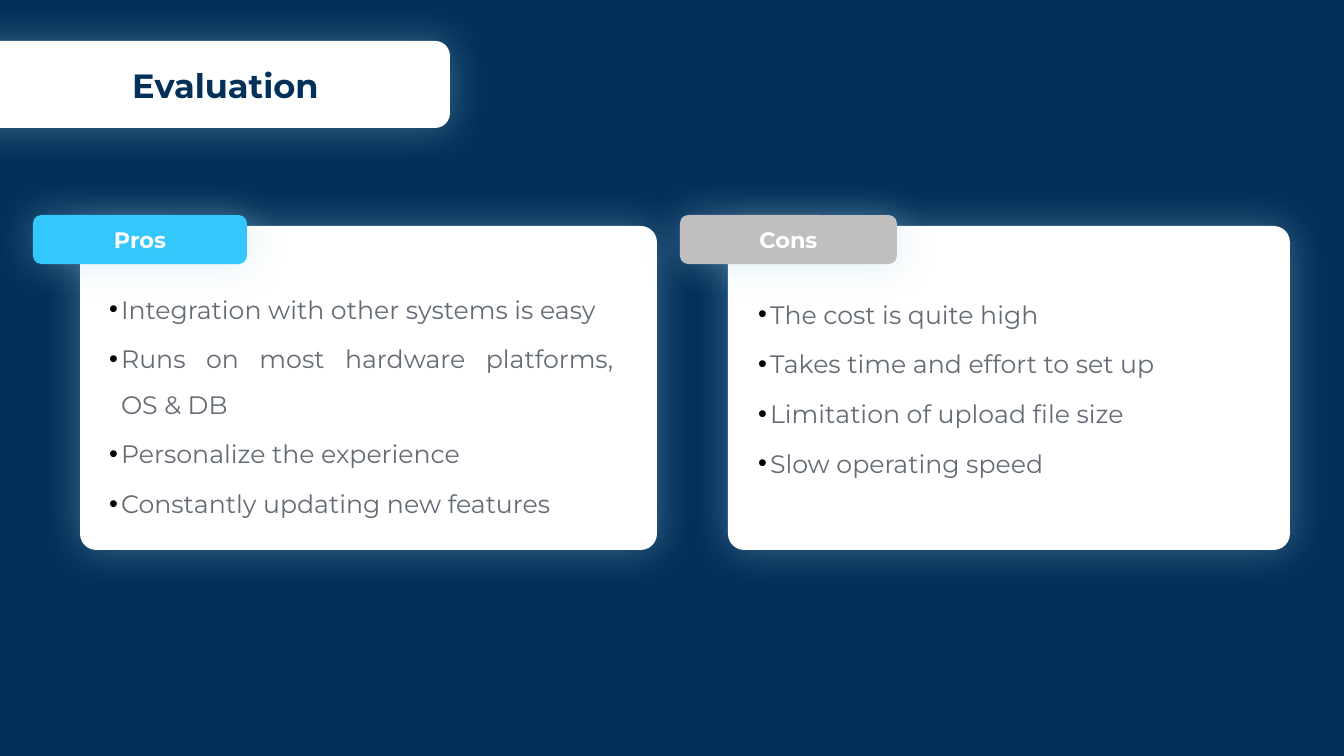
from copy import deepcopy

from lxml import etree
from pptx import Presentation
from pptx.dml.color import RGBColor
from pptx.enum.shapes import MSO_SHAPE
from pptx.enum.text import MSO_ANCHOR, MSO_AUTO_SIZE, PP_ALIGN
from pptx.oxml.ns import qn
from pptx.util import Pt

ROUNDED = MSO_SHAPE.ROUNDED_RECTANGLE
TOP, MIDDLE = MSO_ANCHOR.TOP, MSO_ANCHOR.MIDDLE
NO_AUTOFIT = MSO_AUTO_SIZE.NONE
CENTER, JUSTIFY = PP_ALIGN.CENTER, PP_ALIGN.JUSTIFY

SLIDE_WIDTH, SLIDE_HEIGHT = 1344, 756
EMU_PER_PX = 12192000 / SLIDE_WIDTH
TWO_CONTENT_LAYOUT = 3

COLORS = {
    "navy": "033059",
    "white": "FFFFFF",
    "glow": "A0CFE4",
    "text": "646B76",
    "bullet": "000000",
    "pros": "33C7FB",
    "cons": "BFBFBF",
}

PANELS = [
    {
        "label": "Pros",
        "tag": (33, 215, 214, 49),
        "card": (80, 226, 577, 324),
        "list": (92, 274, 552, 247),
        "items": [
            "Integration with other systems is easy",
            "Runs on most hardware platforms, \vOS & DB",
            "Personalize the experience",
            "Constantly updating new features",
        ],
    },
    {
        "label": "Cons",
        "tag": (680, 215, 217, 49),
        "card": (728, 226, 562, 324),
        "list": (741, 279, 561, 201),
        "items": [
            "The cost is quite high",
            "Takes time and effort to set up",
            "Limitation of upload file size",
            "Slow operating speed",
        ],
    },
]


def px(length):
    return round(length * EMU_PER_PX)


def rgb(name):
    return RGBColor.from_string(COLORS[name])


def apply(target, values):
    for name, value in values.items():
        setattr(target, name, value)


class SlideBuilder:
    font_name = "Montserrat"

    def __init__(self, slide):
        self.slide = slide
        background = slide.background.fill
        background.solid()
        background.fore_color.rgb = rgb("navy")

    def place(self, shape, box):
        apply(shape, dict(zip(("left", "top", "width", "height"), map(px, box))))

    def fill_text(self, paragraph, text, size, color, bold, **values):
        paragraph.text = text
        apply(paragraph, values)
        for run in paragraph.runs:
            apply(run.font, {"name": self.font_name, "size": Pt(size), "bold": bold})
            run.font.color.rgb = rgb(color)
        for line_break in paragraph._p.findall(qn("a:br")):
            line_break.append(deepcopy(paragraph.runs[0]._r.rPr))

    def glow(self, shape):
        shape.shadow.inherit = False
        effects = shape._element.spPr.find(qn("a:effectLst"))
        shadow = etree.SubElement(
            effects, qn("a:outerShdw"), blurRad=str(Pt(29)), dist="0", dir="0",
            algn="ctr", rotWithShape="0")
        color = etree.SubElement(shadow, qn("a:srgbClr"), val=COLORS["glow"])
        etree.SubElement(color, qn("a:alpha"), val="36000")

    def box(self, box, color, corner=0.17):
        shape = self.slide.shapes.add_shape(ROUNDED, *map(px, box))
        shape.adjustments[0] = corner
        shape.fill.solid()
        shape.fill.fore_color.rgb = rgb(color)
        shape.line.fill.background()
        self.glow(shape)
        return shape

    def tag(self, box, text, color):
        frame = self.box(box, color).text_frame
        frame.vertical_anchor = MIDDLE
        self.fill_text(frame.paragraphs[0], text, 16, "white", True, alignment=CENTER)

    def placeholder(self, index, box):
        shape = self.slide.placeholders[index]
        self.slide.shapes._spTree.append(shape._element)
        self.place(shape, box)
        apply(shape.text_frame, {
            "word_wrap": True, "auto_size": NO_AUTOFIT, "vertical_anchor": TOP})
        return shape.text_frame

    def title(self, box, text):
        frame = self.placeholder(0, box)
        self.fill_text(frame.paragraphs[0], text, 24, "navy", True, alignment=CENTER)

    def bullet(self, paragraph):
        properties = paragraph._p.get_or_add_pPr()
        properties.set("marL", str(px(19)))
        properties.set("indent", str(px(-12)))
        color = etree.SubElement(properties, qn("a:buClr"))
        etree.SubElement(color, qn("a:srgbClr"), val=COLORS["bullet"])
        etree.SubElement(properties, qn("a:buFont"), typeface="Arial")
        etree.SubElement(properties, qn("a:buChar"), char="•")

    def bullets(self, index, box, items):
        frame = self.placeholder(index, box)
        for number, item in enumerate(items):
            paragraph = frame.add_paragraph() if number else frame.paragraphs[0]
            self.bullet(paragraph)
            self.fill_text(paragraph, item, 18, "text", False, alignment=JUSTIFY,
                           line_spacing=1.5, space_before=Pt(0), space_after=Pt(3))


def main():
    presentation = Presentation()
    presentation.slide_width = px(SLIDE_WIDTH)
    presentation.slide_height = px(SLIDE_HEIGHT)
    layout = presentation.slide_layouts[TWO_CONTENT_LAYOUT]
    builder = SlideBuilder(presentation.slides.add_slide(layout))

    builder.box((-72, 41, 522, 87), "white")
    builder.title((0, 60, 451, 50), "Evaluation")
    for index, panel in enumerate(PANELS, start=1):
        builder.box(panel["card"], "white", 0.05)
        builder.bullets(index, panel["list"], panel["items"])
        builder.tag(panel["tag"], panel["label"], panel["label"].lower())

    presentation.save("out.pptx")


if __name__ == "__main__":
    main()
